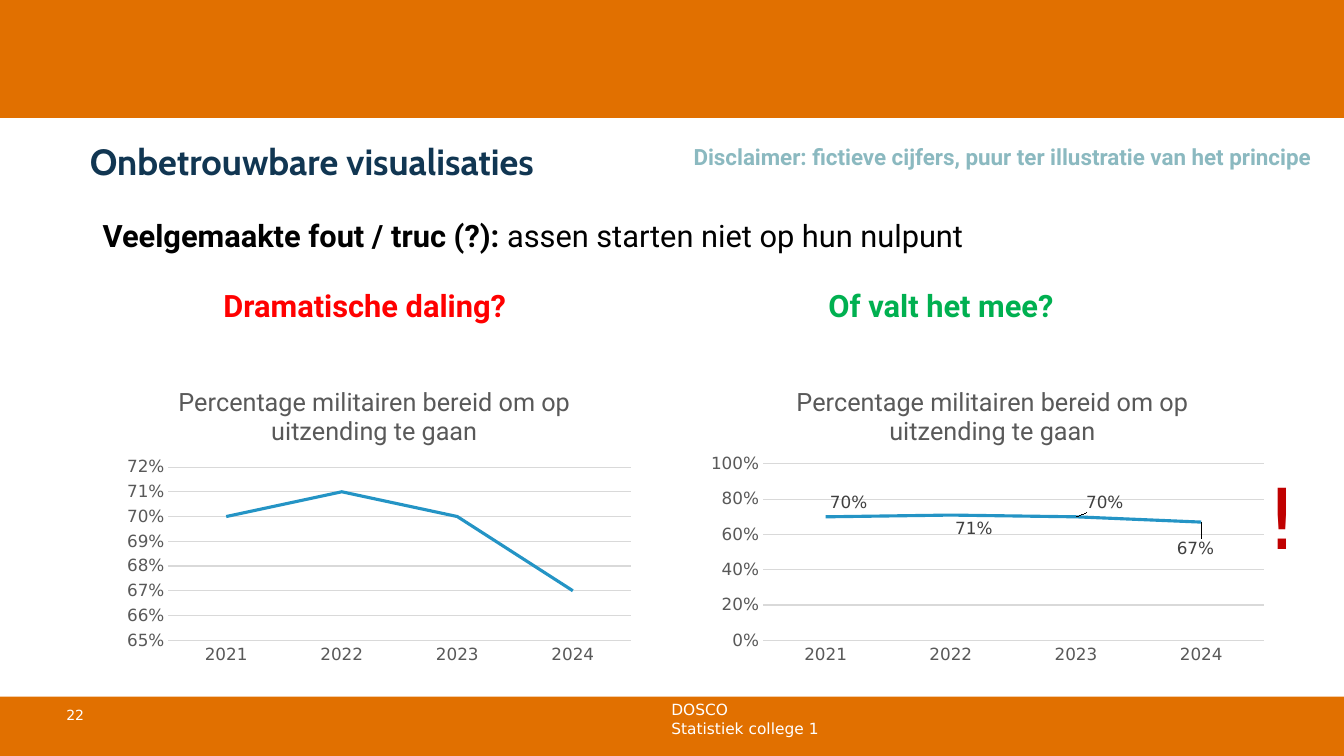
"""Build a slide on charts whose axes do not start at zero."""
from dataclasses import dataclass

from pptx import Presentation
from pptx.chart.data import CategoryChartData
from pptx.dml.color import RGBColor
from pptx.enum import chart as charts, shapes, text
from pptx.oxml import parse_xml
from pptx.oxml.ns import nsdecls, qn
from pptx.util import Inches, Pt


@dataclass(frozen=True)
class Theme:
    """Fonts, colours and type sizes of the slide."""
    heading: str = "Cabin"
    body: str = "Roboto"
    plain: str = "DejaVu Sans"
    band: str = "E17000"
    white: str = "FFFFFF"
    black: str = "000000"
    navy: str = "113652"
    muted: str = "8BB9C0"
    red: str = "FF0000"
    green: str = "00B050"
    alarm: str = "C00000"
    line: str = "2494C5"
    grid: str = "D9D9D9"
    axis: str = "595959"
    label: str = "404040"
    title_size: float = 26
    body_size: float = 22
    chart_title_size: float = 18
    note_size: float = 16
    axis_size: float = 12
    footer_size: float = 11
    number_size: float = 10
    mark_size: float = 60


THEME = Theme()
YEARS = ("2021", "2022", "2023", "2024")
SHARES = (0.70, 0.71, 0.70, 0.67)
CHART_TITLE = "Percentage militairen bereid om op uitzending te gaan"
ABOVE = charts.XL_LABEL_POSITION.ABOVE
BELOW = charts.XL_LABEL_POSITION.BELOW
LABELS = ((ABOVE, 0.04, 0), (BELOW, 0.04, 0), (ABOVE, 0.05, 0), (BELOW, -0.01, 0.04))


def style_font(font, name, size, color, bold=False):
    """Set the typeface, size, colour and weight of a font."""
    font.name, font.size, font.bold = name, Pt(size), bold
    font.color.rgb = RGBColor.from_string(color)


def style_text(frame, *style):
    """Apply one font style to every run in a text frame."""
    for paragraph in frame.paragraphs:
        for run in paragraph.runs:
            style_font(run.font, *style)


def add_band(slide, top, height):
    """Add a full-width coloured band."""
    band = slide.shapes.add_shape(
        shapes.MSO_SHAPE.RECTANGLE, 0, Inches(top), Inches(13.33), Inches(height))
    band.shadow.inherit = False
    band.fill.solid()
    band.fill.fore_color.rgb = RGBColor.from_string(THEME.band)
    band.line.fill.background()


def add_text(slide, box, content, *style):
    """Add a wrapped text box in one style and return its frame."""
    frame = slide.shapes.add_textbox(*map(Inches, box)).text_frame
    frame.word_wrap = True
    frame.text = content
    style_text(frame, *style)
    return frame


def set_title(slide, content):
    """Place and format the title placeholder."""
    title = slide.shapes.title
    title.left, title.top, title.width, title.height = map(Inches, (0.89, 1.38, 11.33, 0.43))
    frame = title.text_frame
    frame.margin_left = frame.margin_right = frame.margin_top = frame.margin_bottom = 0
    frame.vertical_anchor = text.MSO_ANCHOR.MIDDLE
    frame.text = content
    frame.paragraphs[0].alignment = text.PP_ALIGN.LEFT
    style_text(frame, THEME.heading, THEME.title_size, THEME.navy, True)


def add_verdicts(slide, verdicts):
    """Add the one-row table that heads the two charts."""
    table = slide.shapes.add_table(
        1, len(verdicts), *map(Inches, (0.76, 2.84, 11.43, 0.41))).table
    table.first_row = table.horz_banding = False
    for cell, (content, color) in zip(table.rows[0].cells, verdicts):
        cell.margin_top = cell.margin_bottom = Inches(0.02)
        cell.vertical_anchor = text.MSO_ANCHOR.MIDDLE
        cell.text = content
        cell.text_frame.paragraphs[0].alignment = text.PP_ALIGN.CENTER
        style_text(cell.text_frame, THEME.body, THEME.body_size, color, True)
        properties = cell._tc.get_or_add_tcPr()
        for side in ("lnL", "lnR", "lnT", "lnB"):
            properties.append(parse_xml(
                f'<a:{side} {nsdecls("a")} w="12700"><a:solidFill>'
                f'<a:srgbClr val="{THEME.white}"/></a:solidFill></a:{side}>'))
        cell.fill.background()


def set_layout(element, index, modes, **lengths):
    """Give a chart part a manual layout in fractions of the chart."""
    for layout in element.findall(qn("c:layout")):
        element.remove(layout)
    values = "".join(f'<c:{key} val="{value}"/>' for key, value in lengths.items())
    element.insert(index, parse_xml(
        f'<c:layout {nsdecls("c")}><c:manualLayout>{modes}{values}'
        '</c:manualLayout></c:layout>'))


def style_axes(chart, low, high, step):
    """Format both axes and scale the value axis."""
    for axis in (chart.category_axis, chart.value_axis):
        axis.major_tick_mark = axis.minor_tick_mark = charts.XL_TICK_MARK.NONE
        style_font(axis.tick_labels.font, THEME.plain, THEME.axis_size, THEME.axis)
    value_axis = chart.value_axis
    value_axis.minimum_scale, value_axis.maximum_scale = low, high
    value_axis.major_unit = step
    value_axis.tick_labels.number_format = "0%"
    value_axis.tick_labels.number_format_is_linked = False
    value_axis.format.line.fill.background()
    for line in (chart.category_axis.format.line, value_axis.major_gridlines.format.line):
        line.color.rgb = RGBColor.from_string(THEME.grid)
        line.width = Pt(0.75)


def add_line_chart(slide, box, scale, plot, title_left):
    """Add a titled line chart of the yearly shares and return its series."""
    data = CategoryChartData(number_format="0%")
    data.categories = YEARS
    data.add_series("Series 1", SHARES)
    chart = slide.shapes.add_chart(
        charts.XL_CHART_TYPE.LINE, *map(Inches, box), data).chart
    chart.has_legend = False
    style_font(chart.font, THEME.plain, THEME.number_size, THEME.black)
    chart.has_title = True
    title = chart.chart_title
    title.include_in_layout = False
    title.text_frame.text = CHART_TITLE
    style_text(title.text_frame, THEME.body, THEME.chart_title_size, THEME.axis)
    edges = '<c:xMode val="edge"/><c:yMode val="edge"/>'
    set_layout(title._element, 1, edges, x=title_left, y=0.06)
    set_layout(chart._chartSpace.chart.plotArea, 0,
               '<c:layoutTarget val="inner"/>' + edges, **plot)
    style_axes(chart, *scale)
    chart.plots[0].vary_by_categories = False
    series = chart.plots[0].series[0]
    series.smooth = False
    series.marker.style = charts.XL_MARKER_STYLE.NONE
    series.format.line.color.rgb = RGBColor.from_string(THEME.line)
    series.format.line.width = Pt(2.25)
    return series


def add_labels(series):
    """Show the value beside each point of a series."""
    for index, (position, shift_x, shift_y) in enumerate(LABELS):
        label = series.points[index].data_label
        style_font(label.font, THEME.plain, THEME.axis_size, THEME.label)
        label.position = position
        element = series._element.findall(".//" + qn("c:dLbl"))[index]
        set_layout(element, 1, "", x=shift_x, y=shift_y)


def main():
    """Build the slide and save it."""
    presentation = Presentation()
    presentation.slide_width, presentation.slide_height = Inches(13.33), Inches(7.5)
    slide = presentation.slides.add_slide(presentation.slide_layouts[5])
    add_band(slide, 6.91, 0.59)
    add_band(slide, 0, 1.17)
    add_text(slide, (6.56, 6.9, 6.07, 0.31), "DOSCO\nStatistiek college 1",
             THEME.plain, THEME.footer_size, THEME.white)
    add_text(slide, (0.56, 6.96, 1.04, 0.4), "22",
             THEME.plain, THEME.number_size, THEME.white)
    set_title(slide, "Onbetrouwbare visualisaties")
    add_line_chart(slide, (1.15, 3.59, 5.21, 3.07), (0.65, 0.72, 0.01),
                   {"x": 0.1, "y": 0.34, "w": 0.88, "h": 0.56}, 0.11)
    add_labels(add_line_chart(slide, (6.94, 3.59, 5.71, 3.07), (0, 1, 0.2),
                              {"x": 0.11, "y": 0.33, "w": 0.87, "h": 0.57}, 0.16))
    add_text(slide, (12.45, 4.57, 0.89, 1.11), "!",
             THEME.plain, THEME.mark_size, THEME.alarm)
    add_text(slide, (6.78, 1.37, 6.55, 0.37),
             "Disclaimer: fictieve cijfers, puur ter illustratie van het principe",
             THEME.body, THEME.note_size, THEME.muted, True)
    add_verdicts(slide, (("Dramatische daling?", THEME.red),
                         ("Of valt het mee?", THEME.green)))
    message = add_text(slide, (0.92, 2.1, 11.89, 0.47), "Veelgemaakte fout / truc (?): ",
                       THEME.body, THEME.body_size, THEME.black, True)
    explanation = message.paragraphs[0].add_run()
    explanation.text = "assen starten niet op hun nulpunt"
    style_font(explanation.font, THEME.body, THEME.body_size, THEME.black)
    presentation.save("out.pptx")


if __name__ == "__main__":
    main()
